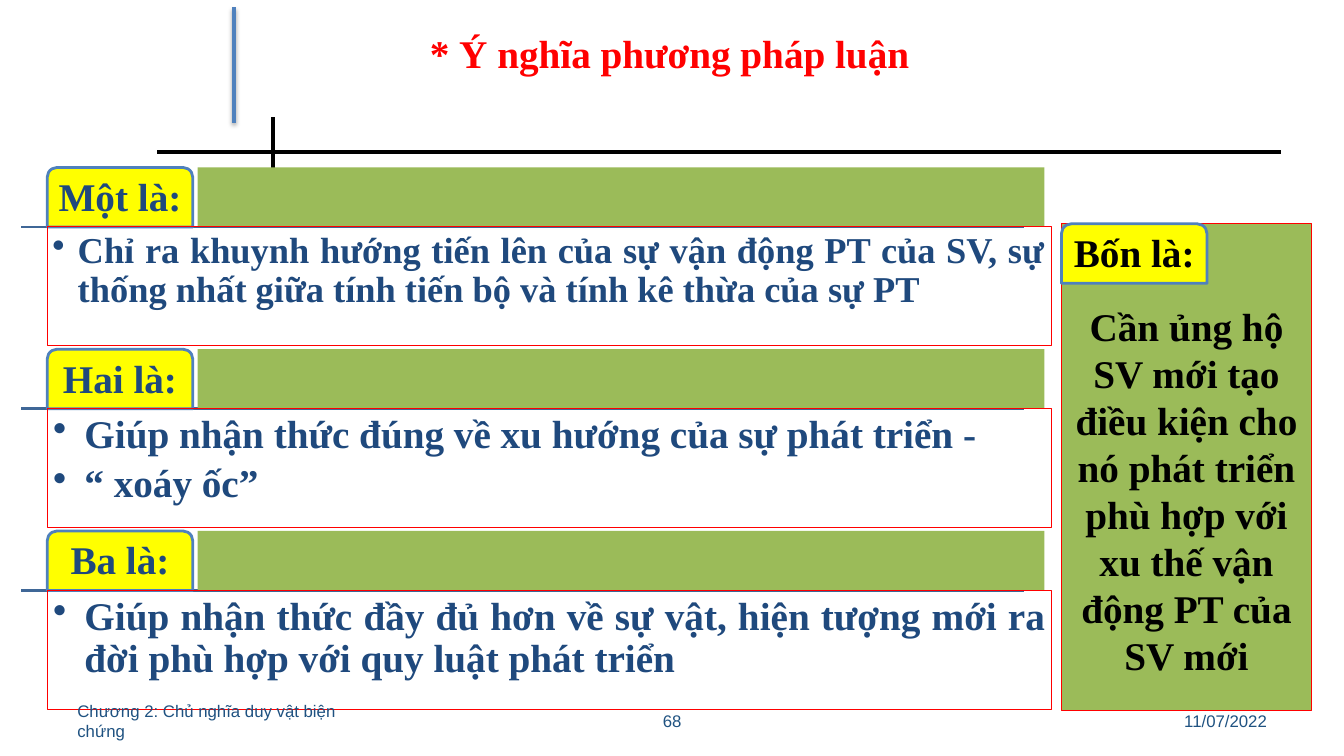
import pptx
import pptx.dml.color
import pptx.enum.shapes
import pptx.enum.text
import pptx.oxml
import pptx.oxml.ns
import pptx.util

Cm = pptx.util.Cm
Pt = pptx.util.Pt
ALIGN = pptx.enum.text.PP_ALIGN
ANCHOR = pptx.enum.text.MSO_ANCHOR
SHAPE = pptx.enum.shapes.MSO_SHAPE

COLOURS = {
    "black": "000000",
    "red": "FF0000",
    "yellow": "FFFF00",
    "green": "9BBB59",
    "blue": "4F81BD",
    "rule": "3F6797",
    "navy": "1F497D",
    "footer": "1F5281",
}
SERIF = {"name": "Times New Roman", "size": Pt(28), "bold": True}
SANS = {"name": "Arial", "size": Pt(12)}
DRAWING = pptx.oxml.ns.nsdecls("a")
SHADOW = (
    '<a:outerShdw blurRad="39370" dist="22860" dir="5400000" rotWithShape="0">'
    '<a:srgbClr val="000000"><a:alpha val="35000"/></a:srgbClr></a:outerShdw>'
)

# Rows: label, paragraphs, text size, inset and indent in cm
ROWS = [
    ("Một là:", ["Chỉ ra khuynh hướng tiến lên của sự vận động PT của SV, sự "
                 "thống nhất giữa tính tiến bộ và tính kê thừa của sự PT"], 26, 0.13, 0.64),
    ("Hai là:", ["Giúp nhận thức đúng về xu hướng của sự phát triển -",
                 "“ xoáy ốc”"], 28, 0.15, 0.79),
    ("Ba là:", ["Giúp nhận thức đầy đủ hơn về sự vật, hiện tượng mới ra "
                "đời phù hợp với quy luật phát triển"], 28, 0.15, 0.79),
]
ROW_TOP, ROW_PITCH = 4.22, 4.58
LABEL_HEIGHT, BODY_HEIGHT = 1.5, 3.0


def colour(name):
    return pptx.dml.color.RGBColor.from_string(COLOURS[name])


def apply(target, values):
    for key, value in values.items():
        setattr(target, key, value)


def add_line(page, start, end, tint, width, effect=""):
    line = page.shapes.add_connector(
        pptx.enum.shapes.MSO_CONNECTOR.STRAIGHT, *map(Cm, start + end))
    line.line.color.rgb = colour(tint)
    line.line.width = Pt(width)
    line._element.spPr.append(
        pptx.oxml.parse_xml(f"<a:effectLst {DRAWING}>{effect}</a:effectLst>"))


def add_block(page, kind, place, fill=None, edge=None, width=0.75):
    block = page.shapes.add_shape(kind, *map(Cm, place))
    block.shadow.inherit = False
    if fill:
        block.fill.solid()
        block.fill.fore_color.rgb = colour(fill)
    else:
        block.fill.background()
    if edge:
        block.line.color.rgb = colour(edge)
        block.line.width = Pt(width)
    else:
        block.line.fill.background()
    return block


def write(box, texts, tint, font, layout, frame, indent=None):
    apply(box.text_frame, {"word_wrap": True, **frame})
    for index, text in enumerate(texts):
        para = box.text_frame.paragraphs[0] if index == 0 else box.text_frame.add_paragraph()
        apply(para, layout)
        if indent:
            properties = para._p.get_or_add_pPr()
            properties.set("marL", str(Cm(indent)))
            properties.set("indent", str(-Cm(indent)))
            properties.append(pptx.oxml.parse_xml(f'<a:buChar {DRAWING} char="•"/>'))
        span = para.add_run()
        span.text = text
        apply(span.font, font)
        span.font.color.rgb = colour(tint)


def insets(size):
    return {f"margin_{side}": Cm(size) for side in ("left", "right", "top", "bottom")}


def add_text(page, place, text, tint, font, align, anchor):
    box = page.shapes.add_textbox(*map(Cm, place))
    write(box, [text], tint, font, {"alignment": align}, {"vertical_anchor": anchor})


def add_label(page, left, top, text, tint):
    label = add_block(page, SHAPE.ROUND_2_SAME_RECTANGLE,
                      (left, top, 3.67, LABEL_HEIGHT), "yellow", "blue", 2)
    write(label, [text], tint, SERIF, {"alignment": ALIGN.CENTER, "line_spacing": 0.9},
          {"vertical_anchor": ANCHOR.MIDDLE, **insets(0.13)})


def add_row(page, top, label, texts, size, inset, indent):
    middle = top + LABEL_HEIGHT
    add_line(page, (0.53, middle), (25.81, middle), "rule", 2)
    add_block(page, SHAPE.RECTANGLE, (4.98, top, 21.34, LABEL_HEIGHT), "green")
    add_label(page, 1.19, top, label, "navy")
    body = add_block(page, SHAPE.RECTANGLE, (1.19, middle, 25.3, BODY_HEIGHT), None, "red")
    write(body, texts, "navy", {**SERIF, "size": Pt(size)},
          {"alignment": ALIGN.JUSTIFY, "level": 1, "line_spacing": 0.9, "space_after": Pt(5)},
          {"vertical_anchor": ANCHOR.TOP, **insets(inset)}, indent)


def main():
    deck = pptx.Presentation()
    apply(deck, {"slide_width": Cm(33.87), "slide_height": Cm(19.05)})
    page = deck.slides.add_slide(deck.slide_layouts[6])

    # Crossed lines under the title
    add_line(page, (3.96, 3.84), (32.28, 3.84), "black", 3)
    add_line(page, (6.88, 2.95), (6.88, 4.29), "black", 3)

    # Three numbered rows
    for index, row in enumerate(ROWS):
        add_row(page, ROW_TOP + index * ROW_PITCH, *row)

    # Title
    add_text(page, (3.66, 0.61, 26.67, 1.45), "* Ý nghĩa phương pháp luận ",
             "red", SERIF, ALIGN.CENTER, ANCHOR.TOP)

    # Fourth point at the right
    panel = add_block(page, SHAPE.RECTANGLE, (26.75, 5.64, 6.3, 12.27), "green", "red")
    write(panel, ["Cần ủng hộ SV mới tạo điều kiện cho nó phát triển phù hợp "
                  "với xu thế vận động PT của SV mới"], "black", SERIF,
          {"alignment": ALIGN.CENTER},
          {"vertical_anchor": ANCHOR.MIDDLE, "margin_top": Cm(1.3)})
    add_label(page, 26.75, 5.64, "Bốn là:", "black")

    # Accent line
    add_line(page, (5.89, 0.18), (5.89, 3.1), "blue", 3, SHADOW)

    # Footer
    for left, width, text, align in (
        (24.28, 7.9, "11/07/2022", ALIGN.RIGHT),
        (1.7, 7.9, "Chương 2: Chủ nghĩa duy vật biện chứng", ALIGN.LEFT),
        (11.58, 10.72, "68", ALIGN.CENTER),
    ):
        add_text(page, (left, 17.65, width, 1.02), text, "footer", SANS, align, ANCHOR.MIDDLE)

    deck.save("out.pptx")


if __name__ == "__main__":
    main()
